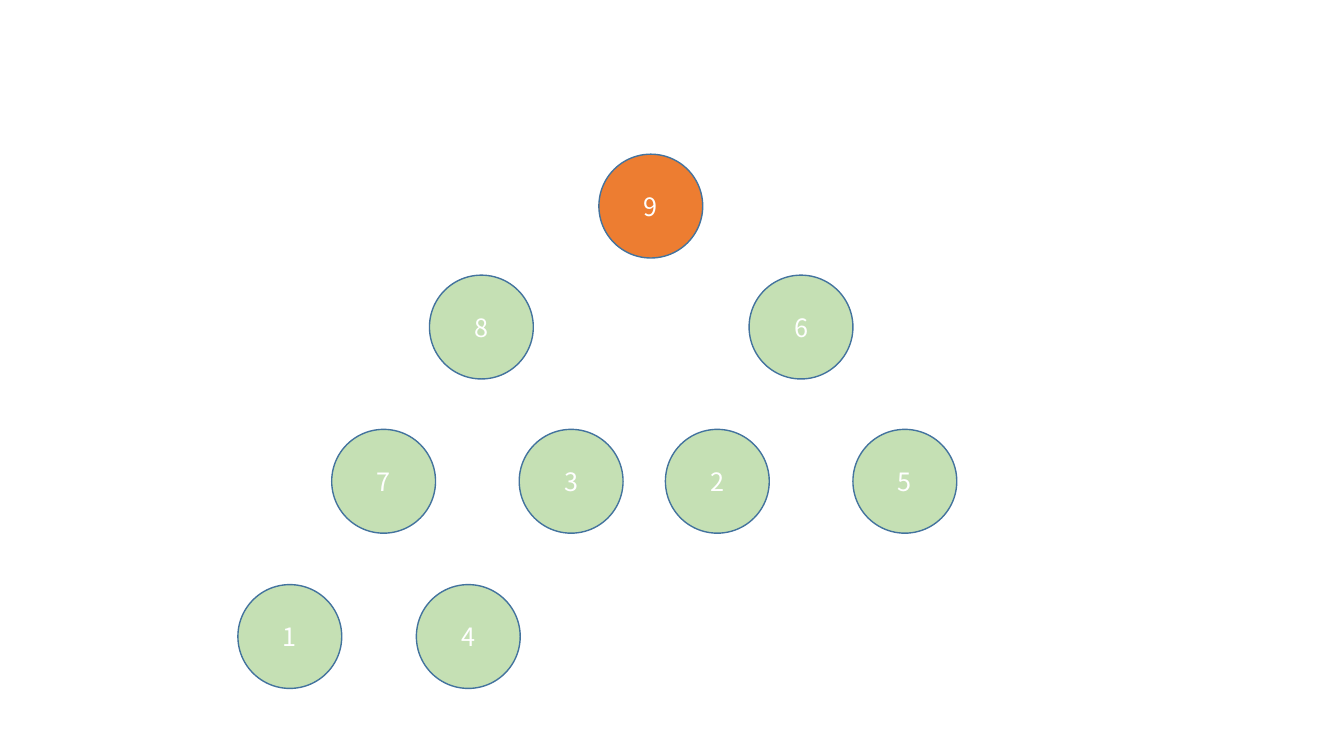
from pptx import Presentation
from pptx.dml.color import RGBColor
from pptx.enum.shapes import MSO_SHAPE
from pptx.enum.text import MSO_ANCHOR, PP_ALIGN
from pptx.util import Inches, Pt

COLORS = {"root": "ED7D31", "node": "C5E0B4", "outline": "43739E", "value": "FFFFFF"}
FONT = "Noto Sans CJK KR"
DIAMETER = 1.03

# Each heap level: top edge, then (value, left edge) for its nodes, in inches
HEAP_LEVELS = [
    (1.53, [(9, 5.94)]),
    (2.73, [(8, 4.26), (6, 7.43)]),
    (4.26, [(7, 3.29), (3, 5.15), (2, 6.6), (5, 8.46)]),
    (5.8, [(1, 2.36), (4, 4.13)]),
]

presentation = Presentation()
presentation.slide_width = Inches(13.33)
presentation.slide_height = Inches(7.5)
heap_slide = presentation.slides.add_slide(presentation.slide_layouts[6])


def add_node(value, left, top, color):
    """Draw one heap node as a circle with its value in the middle."""
    node = heap_slide.shapes.add_shape(
        MSO_SHAPE.OVAL, Inches(left), Inches(top), Inches(DIAMETER), Inches(DIAMETER))
    node.shadow.inherit = False
    node.fill.solid()
    node.fill.fore_color.rgb = RGBColor.from_string(COLORS[color])
    node.line.color.rgb = RGBColor.from_string(COLORS["outline"])
    node.line.width = Pt(1)
    node.text_frame.vertical_anchor = MSO_ANCHOR.MIDDLE
    label = node.text_frame.paragraphs[0]
    label.text = str(value)
    label.alignment = PP_ALIGN.CENTER
    label.font.name = FONT
    label.font.size = Pt(18)
    label.font.color.rgb = RGBColor.from_string(COLORS["value"])


for depth, (top, level_nodes) in enumerate(HEAP_LEVELS):
    for value, left in level_nodes:
        add_node(value, left, top, "root" if depth == 0 else "node")

presentation.save("out.pptx")
